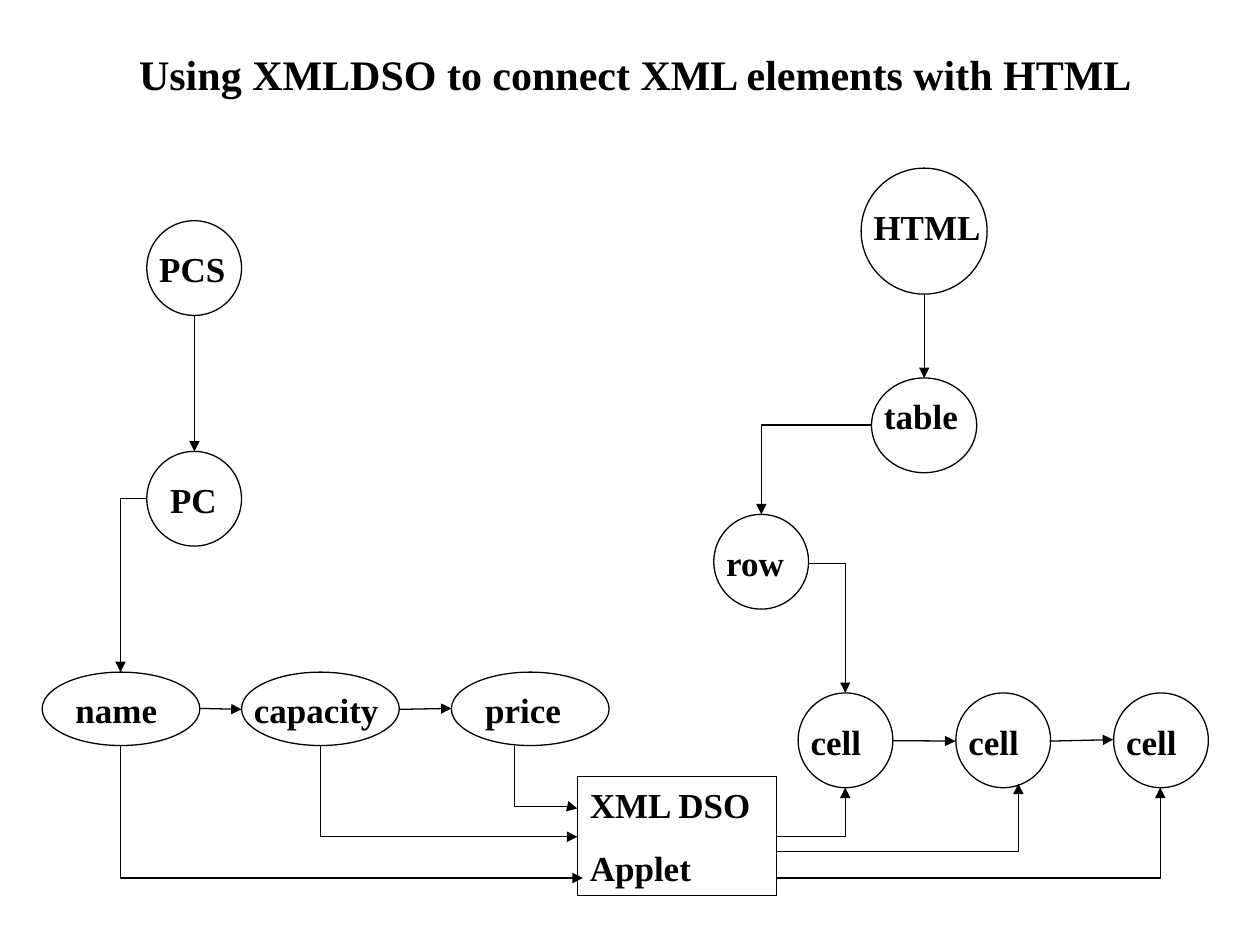
from lxml import etree
from pptx import Presentation
from pptx import util as u
from pptx.dml.color import RGBColor
from pptx.enum import shapes, text
from pptx.oxml.ns import qn

COLORS = {"ink": "000000", "paper": "FFFFFF"}


class Diagram:
    """Style of the diagram and the slide it is drawn on; lengths in cm."""
    font = "Times New Roman"
    line_width = 0.75
    label_height = 1.11

    def __init__(self, s):
        self.s = s

    def color(self, name):
        return RGBColor.from_string(COLORS[name])

    def outline(self, line):
        line.color.rgb = self.color("ink")
        line.width = u.Pt(self.line_width)

    def set_text(self, sp, words, size, before, align):
        tf = sp.text_frame
        tf.word_wrap = True
        tf.auto_size = text.MSO_AUTO_SIZE.SHAPE_TO_FIT_TEXT
        tf.vertical_anchor = text.MSO_ANCHOR.TOP
        tf.text = words
        for p in tf.paragraphs:
            p.alignment = align
            p.space_before = u.Pt(before)
            for r in p.runs:
                r.font.name = self.font
                r.font.size = u.Pt(size)
                r.font.bold = True
                r.font.color.rgb = self.color("ink")

    def label(self, words, x, y, w, h=label_height, size=20, before=12.5,
              align=text.PP_ALIGN.LEFT):
        sp = self.s.shapes.add_textbox(u.Cm(x), u.Cm(y), u.Cm(w), u.Cm(h))
        self.set_text(sp, words, size, before, align)

    def shape(self, kind, x, y, w, h):
        sp = self.s.shapes.add_shape(kind, u.Cm(x), u.Cm(y), u.Cm(w), u.Cm(h))
        sp.shadow.inherit = False
        self.outline(sp.line)
        return sp

    def node(self, words, box, label_at):
        sp = self.shape(shapes.MSO_SHAPE.OVAL, *box)
        sp.fill.solid()
        sp.fill.fore_color.rgb = self.color("paper")
        self.label(words, *label_at)

    def box(self, words, x, y, w, h):
        sp = self.shape(shapes.MSO_SHAPE.RECTANGLE, x, y, w, h)
        sp.fill.background()
        self.set_text(sp, words, 20, 12.5, text.PP_ALIGN.LEFT)

    def arrow(self, x1, y1, x2, y2, kind=shapes.MSO_CONNECTOR.STRAIGHT):
        c = self.s.shapes.add_connector(kind, u.Cm(x1), u.Cm(y1), u.Cm(x2), u.Cm(y2))
        self.outline(c.line)
        spPr = c._element.spPr
        etree.SubElement(spPr.find(qn("a:ln")), qn("a:tailEnd"), type="triangle")
        etree.SubElement(spPr, qn("a:effectLst"))
        return c

    def elbow(self, x1, y1, x2, y2, down_first=False, bend=None):
        """One corner, or with bend two corners at that share of the way."""
        c = self.arrow(x1, y1, x2, y2, shapes.MSO_CONNECTOR.ELBOW)
        spPr = c._element.spPr
        geom = spPr.find(qn("a:prstGeom"))
        if bend is None:
            geom.set("prst", "bentConnector2")
        else:
            guides = geom.find(qn("a:avLst"))
            etree.SubElement(guides, qn("a:gd"), name="adj1",
                             fmla=f"val {round(bend * 100000)}")
        if down_first:  # quarter turn about the centre, mirrored
            w, h = abs(x2 - x1), abs(y2 - y1)
            c.left, c.top = u.Cm((x1 + x2 - h) / 2), u.Cm((y1 + y2 - w) / 2)
            c.width, c.height = u.Cm(h), u.Cm(w)
            xfrm = spPr.find(qn("a:xfrm"))
            xfrm.set("rot", str(270 * 60000))
            xfrm.set("flipH", "1")


def main():
    prs = Presentation()
    prs.slide_width, prs.slide_height = u.Cm(25.4), u.Cm(19.05)
    d = Diagram(prs.slides.add_slide(prs.slide_layouts[6]))
    circle = (1.91, 1.91)
    leaf = (3.18, 1.48)

    # XML tree
    d.node("PCS", (2.96, 4.45, *circle), (2.96, 4.87, 2.12))
    d.node("PC", (2.96, 9.1, *circle), (3.18, 9.53, 2.12))
    for words, x, label_x, label_w in (("name", 0.85, 1.27, 2.54),
                                       ("capacity", 4.87, 4.87, 3.18),
                                       ("price", 9.1, 9.53, 3.18)):
        d.node(words, (x, 13.55, *leaf), (label_x, 13.76, label_w))

    # HTML tree
    d.node("HTML", (17.36, 3.39, 2.54, 2.54), (17.36, 4.02, 2.75))
    d.node("table", (17.57, 7.62, 2.12, 1.91), (17.57, 7.83, 2.54))
    d.node("row", (14.39, 10.37, *circle), (14.39, 10.8, 1.91))
    for i in range(3):
        x = 16.09 + 3.18 * i
        d.node("cell", (x, 13.97, *circle), (x, 14.39, 1.91))

    # Applet and title
    d.box("XML DSO\nApplet", 11.64, 15.66, 4.02, 2.39)
    d.label("Using XMLDSO to connect XML elements with HTML",
            0.85, 0.85, 23.92, 1.27, 24, 15, text.PP_ALIGN.CENTER)

    # Straight arrows
    for ends in ((3.92, 6.35, 3.92, 9.1), (18.63, 5.93, 18.63, 7.62),
                 (4.02, 14.28, 4.87, 14.3), (8.04, 14.3, 9.1, 14.28),
                 (17.99, 14.93, 19.26, 14.94), (21.16, 14.94, 22.44, 14.91)):
        d.arrow(*ends)

    # Branches of the trees
    d.elbow(2.96, 10.05, 2.43, 13.55)
    d.elbow(17.57, 8.57, 15.35, 10.37)
    d.elbow(16.3, 11.36, 17.04, 13.97)

    # XML leaves into the applet
    d.elbow(2.43, 15.03, 11.75, 17.7, down_first=True)
    d.elbow(6.46, 15.03, 11.64, 16.87, down_first=True)
    d.elbow(10.37, 15.03, 11.64, 16.3, down_first=True, bend=0.97)

    # Applet out to the cells
    d.elbow(15.66, 17.7, 23.39, 15.88)
    d.elbow(15.66, 17.17, 20.53, 15.8, bend=1)
    d.elbow(15.66, 16.87, 17.04, 15.88)

    prs.save("out.pptx")


if __name__ == "__main__":
    main()
